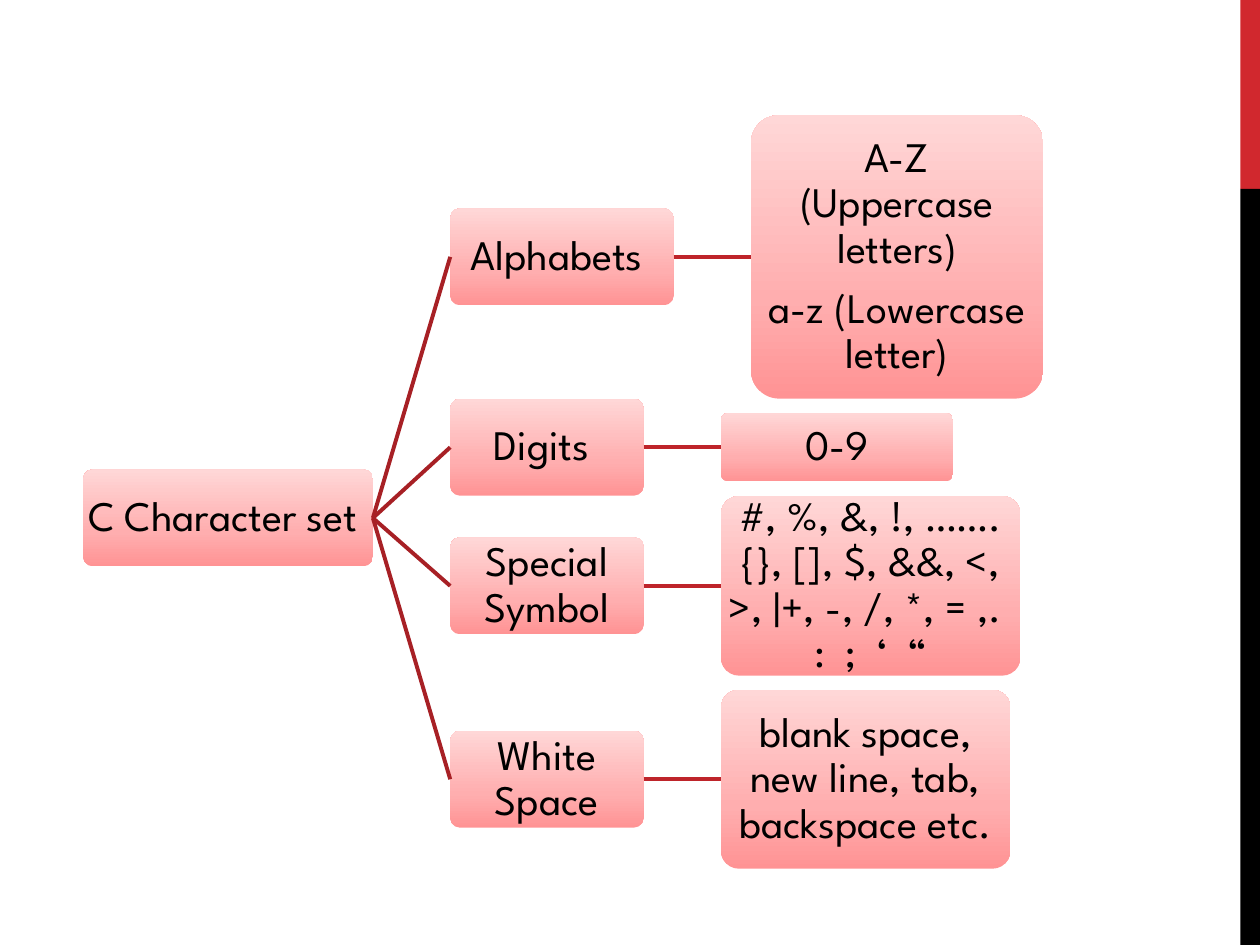
from lxml import etree
from pptx import Presentation
from pptx.dml.color import RGBColor as RGB
from pptx.enum.shapes import MSO_CONNECTOR as CONN, MSO_SHAPE as SHAPE
from pptx.enum.text import MSO_ANCHOR as ANCHOR, PP_ALIGN as ALIGN
from pptx.oxml.ns import qn
from pptx.util import Pt

COLORS = {
    "accent": "D1282E", "black": "000000",
    "trunk": "A72025", "twig": "BE242A",
    "box_low": "FF9394", "box_mid": "FFAEAF", "box_high": "FFD7D7",
}
BOX_STOPS = [(0, "box_low"), (35, "box_mid"), (100, "box_high")]
LEFT_SITE, RIGHT_SITE = 1, 3

LEVEL_GAP = 44.2
NODE_H = 55.4
ROOT = ("C Character set ", 47.5, 296, 165.6)
# label, centre y, width, then leaf text, leaf width, leaf height
BRANCHES = [
    ("Alphabets ", 146.8, 127.6,
     "A-Z\v(Uppercase letters)\na-z (Lowercase letter)", 167, 162),
    ("Digits ", 255.6, 110.5, "0-9", 132.5, 39),
    ("Special Symbol", 334.8, 110.5,
     "#, %, &, !, ……. {}, [], $, &&, <, >, |+, -, /, *, = ,.  :  ;  ‘  “",
     171, 102.6),
    ("White Space", 445.3, 110.5,
     "blank space, new line, tab, backspace etc.", 165.4, 102.2),
]


class TreeSlide:
    font = "League Spartan"
    size = 24
    line_width = 2.25

    def __init__(self, slide):
        self.slide = slide

    def bar(self, x, y, w, h, color):
        sp = self.slide.shapes.add_shape(SHAPE.RECTANGLE, Pt(x), Pt(y), Pt(w), Pt(h))
        sp.shadow.inherit = False
        sp.fill.solid()
        sp.fill.fore_color.rgb = RGB.from_string(COLORS[color])
        sp.line.fill.background()

    def box(self, text, x, mid_y, w, h):
        """Add a rounded node whose vertical centre is mid_y."""
        sp = self.slide.shapes.add_shape(
            SHAPE.ROUNDED_RECTANGLE, Pt(x), Pt(mid_y - h / 2), Pt(w), Pt(h))
        sp.adjustments[0] = 0.1
        sp.shadow.inherit = False
        sp.line.fill.background()
        self.gradient(sp)
        self.label(sp.text_frame, text)
        return sp

    def gradient(self, sp):
        """Give the shape the three-stop fill, darkest at the bottom."""
        sp.fill.gradient()
        sp.fill.gradient_angle = 90
        stops = next(sp._element.spPr.iter(qn("a:gsLst")))
        for old in list(stops):
            stops.remove(old)
        for percent, color in BOX_STOPS:
            gs = etree.SubElement(stops, qn("a:gs"), pos=str(percent * 1000))
            etree.SubElement(gs, qn("a:srgbClr"), val=COLORS[color])

    def label(self, tf, text):
        tf.text = text
        tf.word_wrap = True
        tf.vertical_anchor = ANCHOR.MIDDLE
        tf.margin_left = tf.margin_right = Pt(1.2)
        tf.margin_top = tf.margin_bottom = Pt(1.2)
        for p in tf.paragraphs:
            p.alignment = ALIGN.CENTER
            p.line_spacing = 0.9
            p.space_after = Pt(0.35 * self.size)
            for r in p.runs:
                r.font.name = self.font
                r.font.size = Pt(self.size)
                r.font.color.rgb = RGB.from_string(COLORS["black"])

    def link(self, parent, child, color):
        line = self.slide.shapes.add_connector(CONN.STRAIGHT, 0, 0, 0, 0)
        line.begin_connect(parent, RIGHT_SITE)
        line.end_connect(child, LEFT_SITE)
        line.line.width = Pt(self.line_width)
        line.line.color.rgb = RGB.from_string(COLORS[color])
        etree.SubElement(line._element.spPr, qn("a:effectLst"))


def main():
    prs = Presentation()
    prs.slide_width, prs.slide_height = Pt(720), Pt(540)
    s = TreeSlide(prs.slides.add_slide(prs.slide_layouts[6]))

    s.bar(708.75, 0, 11.25, 108, "accent")
    s.bar(708.75, 108, 11.25, 432, "black")

    root_text, root_x, root_y, root_w = ROOT
    root = s.box(root_text, root_x, root_y, root_w, NODE_H)
    branch_x = root_x + root_w + LEVEL_GAP
    for label, y, w, leaf_text, leaf_w, leaf_h in BRANCHES:
        branch = s.box(label, branch_x, y, w, NODE_H)
        leaf = s.box(leaf_text, branch_x + w + LEVEL_GAP, y, leaf_w, leaf_h)
        s.link(root, branch, "trunk")
        s.link(branch, leaf, "twig")

    prs.save("out.pptx")


if __name__ == "__main__":
    main()
